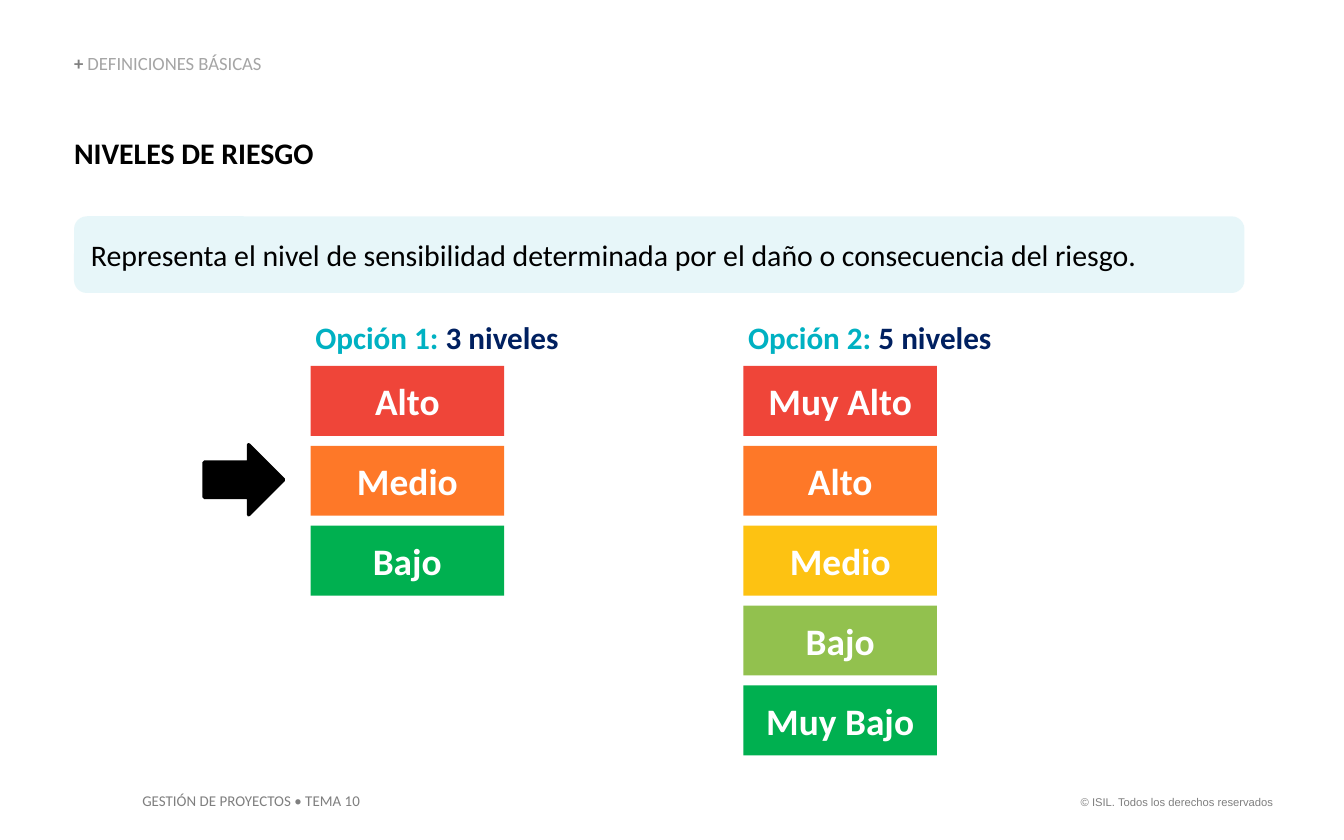
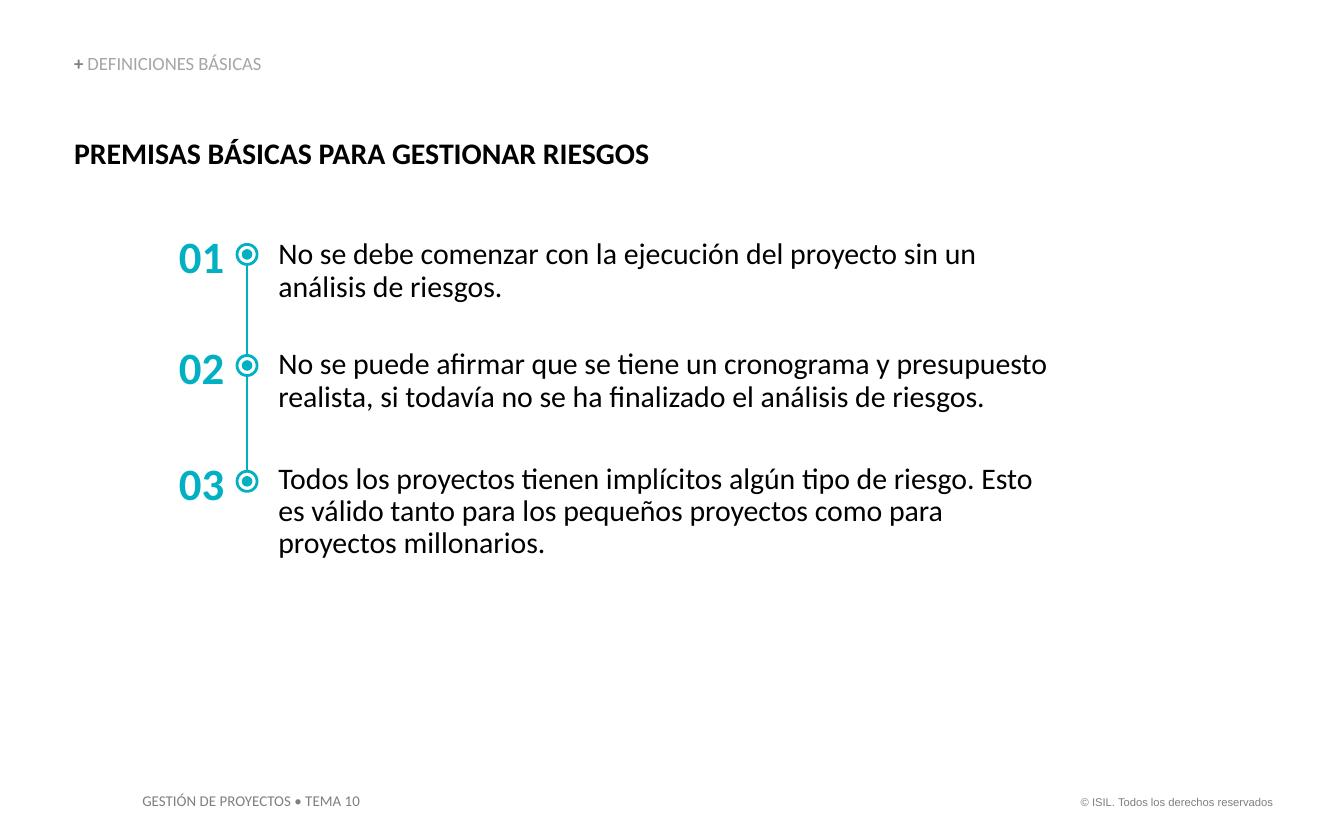
from lxml.etree import SubElement
from pptx import Presentation
from pptx.dml.color import RGBColor
from pptx.enum.shapes import MSO_CONNECTOR, MSO_SHAPE
from pptx.enum.text import MSO_ANCHOR, MSO_AUTO_SIZE, PP_ALIGN
from pptx.oxml.ns import qn
from pptx.util import Cm, Pt

BLACK, WHITE, GRAY, LIGHT_GRAY = "000000", "FFFFFF", "7F7F7F", "A5A5A5"
TURQUOISE, TEAL, NAVY, PALE_BLUE = "00B1C2", "01B1C3", "002060", "D1EFF4"
RED, ORANGE, YELLOW, LIME, GREEN = "EF4539", "FE7828", "FDC212", "92C14E", "00B050"

TITLE_ONLY, TITLE_AND_BODY = 5, 1
MARGIN = 1.4
LINE_HEIGHT = 0.62  # one line of 16 pt text at 90 % spacing

THREE_LEVELS = [("Alto", RED), ("Medio", ORANGE), ("Bajo", GREEN)]
FIVE_LEVELS = [("Muy Alto", RED), ("Alto", ORANGE), ("Medio", YELLOW),
               ("Bajo", LIME), ("Muy Bajo", GREEN)]

# Offset of each premise from the top of the list, its number of lines, its text
PREMISES = [
    (0, 2, "No se debe comenzar con la ejecución del proyecto sin un "
           "análisis de riesgos."),
    (2.1, 2, "No se puede afirmar que se tiene un cronograma y presupuesto "
             "realista, si todavía no se ha finalizado el análisis de riesgos."),
    (4.29, 3, "Todos los proyectos tienen implícitos algún tipo de riesgo. Esto "
              "es válido tanto para los pequeños proyectos como para "
              "proyectos millonarios."),
]


def color(hex_code):
    return RGBColor.from_string(hex_code)


def place(shape, left, top, width, height):
    shape.left, shape.top = Cm(left), Cm(top)
    shape.width, shape.height = Cm(width), Cm(height)


def prepare(frame, inset=True, anchor=MSO_ANCHOR.TOP):
    """Set wrapping, margins and anchor, and return the first paragraph."""
    frame.word_wrap = True
    frame.auto_size = MSO_AUTO_SIZE.NONE
    frame.vertical_anchor = anchor
    frame.margin_left = frame.margin_right = Cm(0.25 if inset else 0)
    frame.margin_top = frame.margin_bottom = Cm(0.13 if inset else 0)
    return frame.paragraphs[0]


def write(para, text, size, hex_code=BLACK, bold=False, align=PP_ALIGN.LEFT,
          font="Calibri"):
    if text:
        para.text = text
    para.alignment = align
    para.font.name = font
    para.font.size = Pt(size)
    para.font.bold = bold
    para.font.color.rgb = color(hex_code)


def add_span(para, text, hex_code, bold):
    span = para.add_run()
    span.text = text
    span.font.color.rgb = color(hex_code)
    span.font.bold = bold


def add_text(page, left, top, width, height, inset=True, anchor=MSO_ANCHOR.TOP):
    box = page.shapes.add_textbox(Cm(left), Cm(top), Cm(width), Cm(height))
    return prepare(box.text_frame, inset, anchor)


def add_filled(shapes, kind, left, top, width, height, fill, line=None, weight=1):
    shape = shapes.add_shape(kind, Cm(left), Cm(top), Cm(width), Cm(height))
    shape.shadow.inherit = False
    shape.fill.solid()
    shape.fill.fore_color.rgb = color(fill)
    if line:
        shape.line.color.rgb = color(line)
        shape.line.width = Pt(weight)
    else:
        shape.line.fill.background()
    return shape


def add_page(deck, layout, title):
    """Add a slide with the shared section label, title and footers."""
    page = deck.slides.add_slide(deck.slide_layouts[layout])
    place(page.shapes.title, MARGIN, 2.54, 17.8, 0.69)
    write(prepare(page.shapes.title.text_frame, inset=False), title, 16, bold=True)

    section = add_text(page, MARGIN, 1.04, 6.76, 0.38, False, MSO_ANCHOR.BOTTOM)
    section.line_spacing = 0.9
    write(section, "", 10)
    add_span(section, "+ ", GRAY, True)
    add_span(section, "DEFINICIONES BÁSICAS", LIGHT_GRAY, False)

    write(add_text(page, 2.44, 14.83, 4.7, 0.61),
          "GESTIÓN DE PROYECTOS • TEMA 10", 8, GRAY)
    write(add_text(page, 20.09, 14.91, 4.22, 0.51),
          "© ISIL. Todos los derechos reservados", 6, GRAY,
          align=PP_ALIGN.RIGHT, font="Arial")
    return page


def add_definition(page, left, top, width, height, text):
    band = add_filled(page.shapes, MSO_SHAPE.ROUNDED_RECTANGLE,
                      left, top, width, height, PALE_BLUE)
    fill_color = band.fill._xPr.find(qn("a:solidFill"))[0]
    SubElement(fill_color, qn("a:alpha"), val="50000")
    write(prepare(band.text_frame, anchor=MSO_ANCHOR.MIDDLE), text, 16,
          align=PP_ALIGN.JUSTIFY)


def add_scale(page, left, top, option, count, levels):
    """Draw an option heading with its risk levels stacked below."""
    heading = add_text(page, left - 0.16, top, 5.66, 0.97)
    write(heading, "", 16.7, bold=True)
    add_span(heading, option, TURQUOISE, True)
    add_span(heading, count, NAVY, True)
    for row, (name, fill) in enumerate(levels):
        level = add_filled(page.shapes, MSO_SHAPE.RECTANGLE, left,
                           top + 1.03 + row * 1.51, 3.66, 1.32, fill)
        write(prepare(level.text_frame, anchor=MSO_ANCHOR.MIDDLE), name, 20,
              WHITE, True, PP_ALIGN.CENTER)


def add_timeline(page, left, top):
    """Draw the numbers and the markers joined by a line."""
    axis = left + 1.55
    line = page.shapes.add_connector(MSO_CONNECTOR.STRAIGHT, Cm(axis), Cm(top + 0.2),
                                     Cm(axis), Cm(top + PREMISES[-1][0] + 0.1))
    line.line.color.rgb = color(TEAL)
    line.line.width = Pt(1)
    SubElement(line._element.spPr, qn("a:effectLst"))
    for number, (offset, _, _) in enumerate(PREMISES, start=1):
        row = top + offset
        write(add_text(page, left, row - 0.19, 1.12, 1.02, inset=False),
              f"{number:02}", 24, TEAL, True, PP_ALIGN.RIGHT)
        marker = page.shapes.add_group_shape()
        add_filled(marker.shapes, MSO_SHAPE.OVAL, axis - 0.19, row + 0.1,
                   0.38, 0.38, WHITE, TEAL, 1.5)
        add_filled(marker.shapes, MSO_SHAPE.OVAL, axis - 0.1, row + 0.19,
                   0.2, 0.2, TEAL)


def fill_premises(body, left, top, width, height):
    place(body, left, top, width, height)
    para = prepare(body.text_frame, inset=False)
    previous_end = 0
    for offset, lines, text in PREMISES:
        if offset:
            para = body.text_frame.add_paragraph()
        properties = para._p.get_or_add_pPr()
        properties.set("marL", "0")
        properties.set("indent", "0")
        SubElement(properties, qn("a:buNone"))
        para.line_spacing = 0.9
        para.space_before = Pt(round(Cm(offset - previous_end).pt, 1))
        write(para, text, 16)
        previous_end = offset + lines * LINE_HEIGHT


def build_levels(deck):
    page = add_page(deck, TITLE_ONLY, "NIVELES DE RIESGO")
    add_definition(page, MARGIN, 4.09, 22.12, 1.45,
                   "Representa el nivel de sensibilidad determinada por el daño "
                   "o consecuencia del riesgo.")
    add_scale(page, 5.87, 5.89, "Opción 1: ", "3 niveles", THREE_LEVELS)
    add_scale(page, 14.05, 5.89, "Opción 2: ", "5 niveles", FIVE_LEVELS)
    add_filled(page.shapes, MSO_SHAPE.RIGHT_ARROW, 3.86, 8.41, 1.5, 1.32,
               BLACK, BLACK, 2)


def build_premises(deck):
    page = add_page(deck, TITLE_AND_BODY, "PREMISAS BÁSICAS PARA GESTIONAR RIESGOS")
    top = 4.52
    add_timeline(page, 3.12, top)
    fill_premises(page.placeholders[1], 5.26, top, 14.81, 6.15)


def main():
    deck = Presentation()
    deck.slide_width, deck.slide_height = Cm(25.4), Cm(15.88)
    build_levels(deck)
    build_premises(deck)
    deck.save("out.pptx")


if __name__ == "__main__":
    main()
